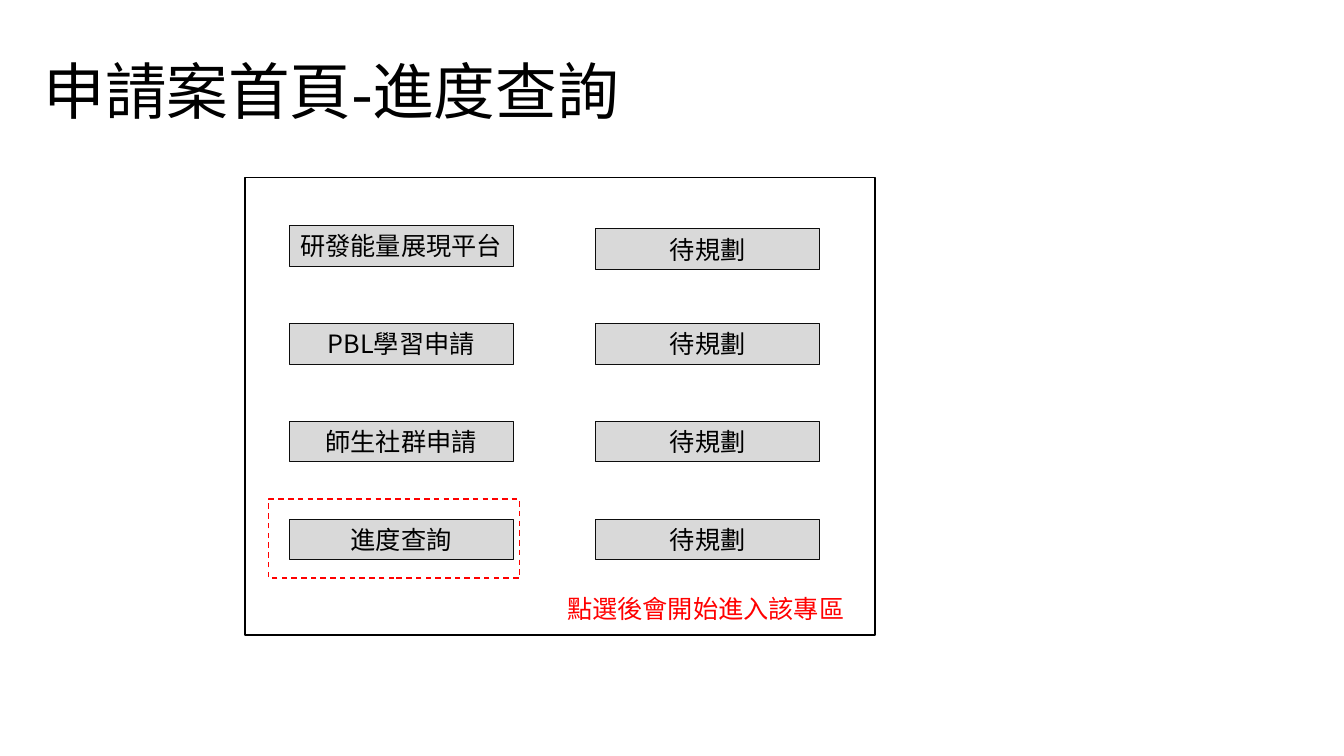
from lxml import etree
from pptx import Presentation
from pptx.dml.color import RGBColor
from pptx.enum.dml import MSO_LINE
from pptx.enum.shapes import MSO_SHAPE
from pptx.enum.text import MSO_ANCHOR, MSO_AUTO_SIZE, PP_ALIGN
from pptx.oxml.ns import qn
from pptx.util import Pt

BLACK = RGBColor(0x00, 0x00, 0x00)
WHITE = RGBColor(0xFF, 0xFF, 0xFF)
GREY = RGBColor(0xD9, 0xD9, 0xD9)
DARK = RGBColor(0x0D, 0x0D, 0x0D)
RED = RGBColor(0xFF, 0x00, 0x00)

RECTANGLE = MSO_SHAPE.RECTANGLE
DASH = MSO_LINE.DASH
TOP, MIDDLE = MSO_ANCHOR.TOP, MSO_ANCHOR.MIDDLE
LEFT, CENTER = PP_ALIGN.LEFT, PP_ALIGN.CENTER
GROW = MSO_AUTO_SIZE.SHAPE_TO_FIT_TEXT

SANS = "Noto Sans CJK SC"
SERIF = "Times New Roman"

BUTTON_WIDTH, BUTTON_HEIGHT = 160, 29
FIRST_ROW, ROW_STEP = 161.3, 69.85
LEFT_COLUMN, RIGHT_COLUMN = 206.6, 425.5
TOPICS = ["研發能量展現平台", "PBL學習申請", "師生社群申請", "進度查詢"]
PENDING = "待規劃"


def write(box, text, size=18, font=SANS, color=BLACK, align=LEFT,
          anchor=TOP, wrap=True, spacing=None):
    frame = box.text_frame
    frame.word_wrap = wrap
    frame.auto_size = GROW
    frame.vertical_anchor = anchor
    para = frame.paragraphs[0]
    para.alignment = align
    if spacing:
        para.line_spacing = spacing
    span = para.add_run()
    span.text = text
    span.font.size = Pt(size)
    span.font.name = font
    span.font.color.rgb = color
    east_asian = etree.SubElement(span.font._element, qn("a:ea"))
    east_asian.set("typeface", SANS)


class Wireframe:
    """Draws on one page; all lengths are in points."""

    def __init__(self, page):
        self.page = page

    def label(self, text, left, top, width, height, **style):
        box = self.page.shapes.add_textbox(
            Pt(left), Pt(top), Pt(width), Pt(height))
        write(box, text, **style)

    def rectangle(self, left, top, width, height, fill=None, line=BLACK,
                  weight=1, dash=None):
        box = self.page.shapes.add_shape(
            RECTANGLE, Pt(left), Pt(top), Pt(width), Pt(height))
        box.shadow.inherit = False
        if fill is None:
            box.fill.background()
        else:
            box.fill.solid()
            box.fill.fore_color.rgb = fill
        box.line.color.rgb = line
        box.line.width = Pt(weight)
        if dash:
            box.line.dash_style = dash
        return box

    def button(self, text, left, top, **style):
        box = self.rectangle(left, top, BUTTON_WIDTH, BUTTON_HEIGHT,
                             fill=GREY, line=DARK, weight=0.75)
        write(box, text, align=CENTER, **style)


def main():
    deck = Presentation()
    deck.slide_width, deck.slide_height = Pt(960), Pt(540)
    page = deck.slides.add_slide(deck.slide_layouts[6])
    wireframe = Wireframe(page)

    wireframe.label("申請案首頁-進度查詢", 24, 39.6, 828, 55.4, size=44,
                    font=SERIF, anchor=MIDDLE, spacing=0.9)
    wireframe.rectangle(175, 126.7, 450, 327, fill=WHITE)
    for row, topic in enumerate(TOPICS):
        top = FIRST_ROW + row * ROW_STEP
        nudge = 2.2 if row == 0 else 0
        wireframe.button(topic, LEFT_COLUMN, top, wrap=row > 0)
        wireframe.button(PENDING, RIGHT_COLUMN, top + nudge)
    wireframe.label("點選後會開始進入該專區", 398, 420, 214.5, 29,
                    color=RED, wrap=False)
    wireframe.rectangle(192, 356.5, 179, 56.5, line=RED, dash=DASH)

    deck.save("out.pptx")


if __name__ == "__main__":
    main()
